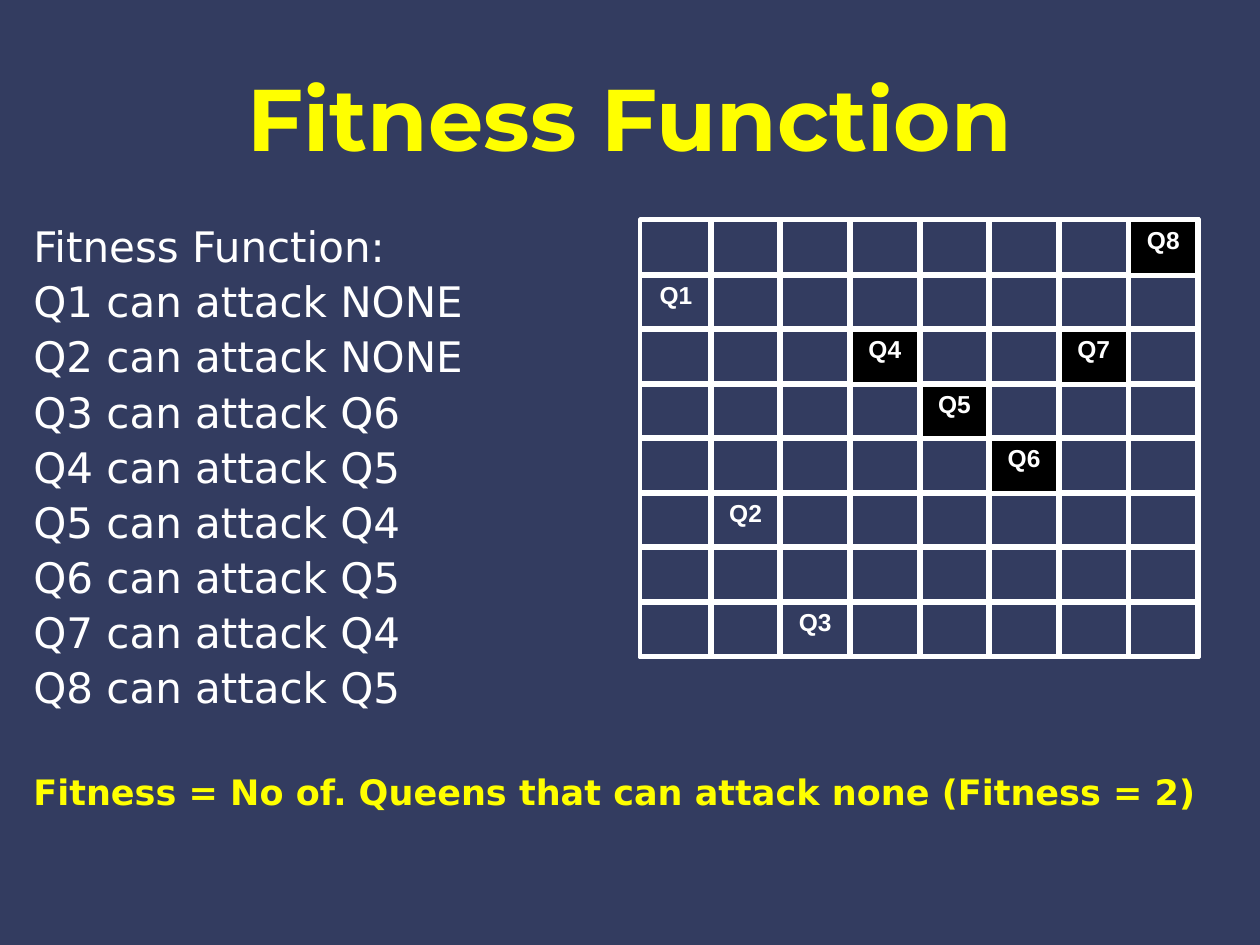
from pptx import Presentation, util as u
from pptx.dml.color import RGBColor
from pptx.enum import shapes, text
from pptx.oxml.ns import qn
from lxml import etree

TITLE = "Fitness Function"
ATTACKS = ["NONE", "NONE", "Q6", "Q5", "Q4", "Q5", "Q4", "Q5"]
RESULT = "Fitness = No of. Queens that can attack none (Fitness = 2)"
ROWS = [1, 5, 7, 2, 3, 4, 2, 0]  # row of each queen, by column

NAVY, YELLOW, WHITE, BLACK = "333C60", "FFFF00", "FFFFFF", "000000"
N = 8
LEFT, TOP, WIDE, HIGH = 640, 220, 557, 436
CELL = 72, 57


def px(n):
    return u.Emu(round(n * 914400 / 126))


def rgb(code):
    return RGBColor.from_string(code)


def style(para, size, face, color, bold=False):
    font = para.font
    font.size, font.name, font.bold = u.Pt(size), face, bold
    font.color.rgb = rgb(color)


def add_box(slide, x, y, w, h):
    frame = slide.shapes.add_textbox(px(x), px(y), px(w), px(h)).text_frame
    frame.word_wrap = True
    return frame


def add_title(slide):
    frame = add_box(slide, 63, 38, 1134, 157)
    frame.vertical_anchor = text.MSO_ANCHOR.MIDDLE
    para = frame.paragraphs[0]
    para.text, para.alignment = TITLE, text.PP_ALIGN.CENTER
    style(para, 50, "Montserrat", YELLOW, True)


def add_body(slide):
    frame = add_box(slide, 21, 220, 1218, 662)
    lines = [TITLE + ":"]
    lines += [f"Q{i} can attack {foe}" for i, foe in enumerate(ATTACKS, 1)]
    frame.text = "\n".join(lines + [RESULT])
    for para in frame.paragraphs:
        para.line_spacing, para.space_before = 0.9, u.Pt(5.6)
        style(para, 24, "DejaVu Sans", WHITE)
    last = frame.paragraphs[-1]
    last.space_before = u.Pt(35.4)
    style(last, 20, "DejaVu Sans", YELLOW, True)


def add_cell(slide, row, col):
    x, y = LEFT + col * WIDE / N, TOP - 1 + row * HIGH / N
    cell = slide.shapes.add_shape(
        shapes.MSO_SHAPE.RECTANGLE, px(x), px(y), *map(px, CELL))
    cell.shadow.inherit = False
    cell.line.color.rgb, cell.line.width = rgb(WHITE), u.Pt(2)
    queen = ROWS[col] == row
    if queen and ATTACKS[col] != "NONE" and col != 2:
        cell.fill.solid()
        cell.fill.fore_color.rgb = rgb(BLACK)
    else:
        cell.fill.background()
    if queen:
        frame = cell.text_frame
        frame.vertical_anchor = text.MSO_ANCHOR.TOP
        para = frame.paragraphs[0]
        para.text, para.alignment = f"Q{col + 1}", text.PP_ALIGN.CENTER
        style(para, 14, "Arial", WHITE, True)


def add_line(slide, *ends):
    line = slide.shapes.add_connector(
        shapes.MSO_CONNECTOR.STRAIGHT, *map(px, ends))
    line.line.color.rgb, line.line.width = rgb(WHITE), u.Pt(2)
    etree.SubElement(line._element.spPr, qn("a:effectLst"))


def add_board(slide):
    for row in reversed(range(N)):
        for col in reversed(range(N)):
            add_cell(slide, row, col)
    for i in range(N + 1):
        x, y = LEFT + i * WIDE / N, TOP + i * HIGH / N
        add_line(slide, LEFT, y, LEFT + WIDE, y)
        add_line(slide, x, TOP, x, TOP + HIGH)


def main():
    deck = Presentation()
    deck.slide_width, deck.slide_height = px(1260), px(945)
    slide = deck.slides.add_slide(deck.slide_layouts[6])
    slide.background.fill.solid()
    slide.background.fill.fore_color.rgb = rgb(NAVY)
    add_title(slide)
    add_body(slide)
    add_board(slide)
    deck.save("out.pptx")


if __name__ == "__main__":
    main()
